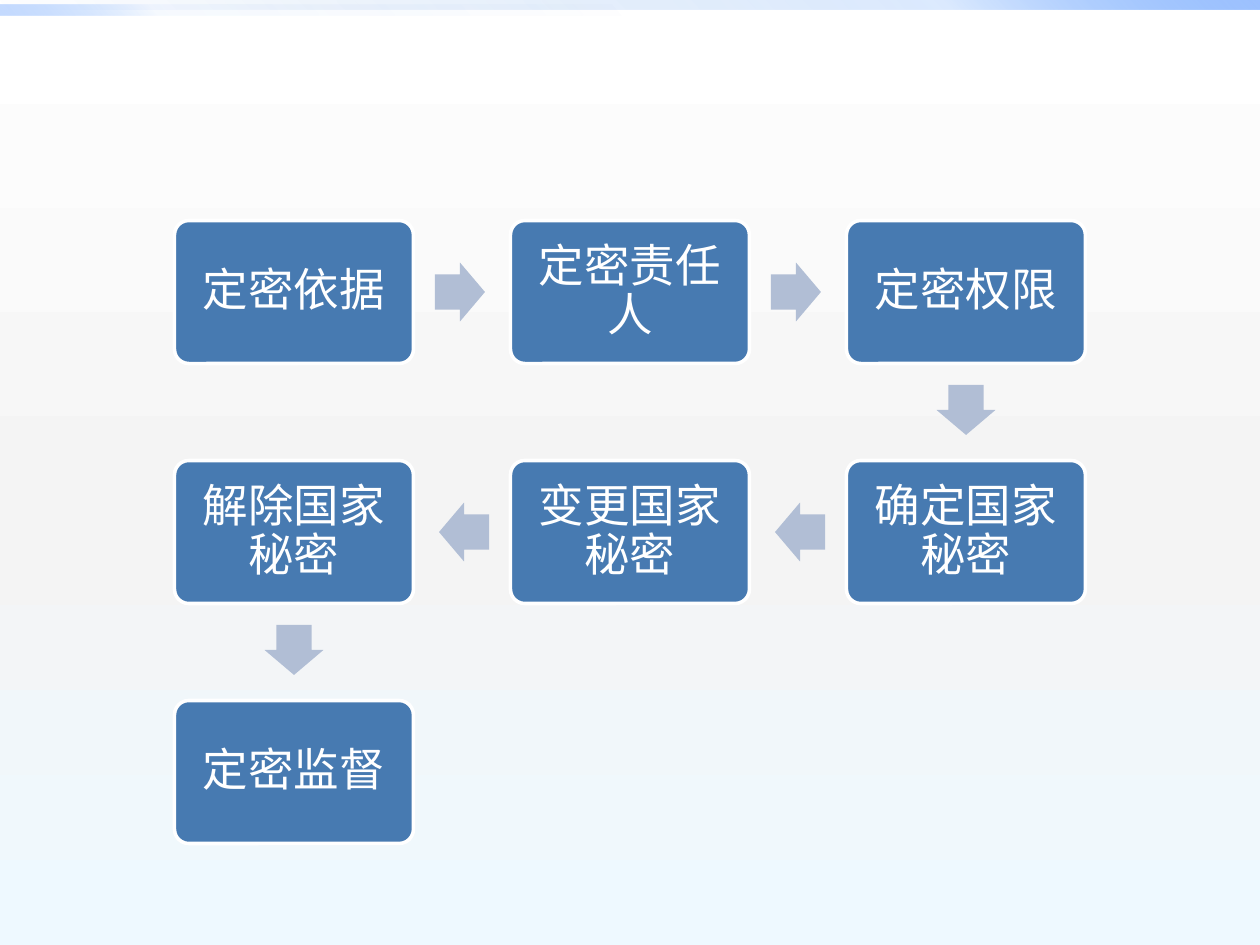
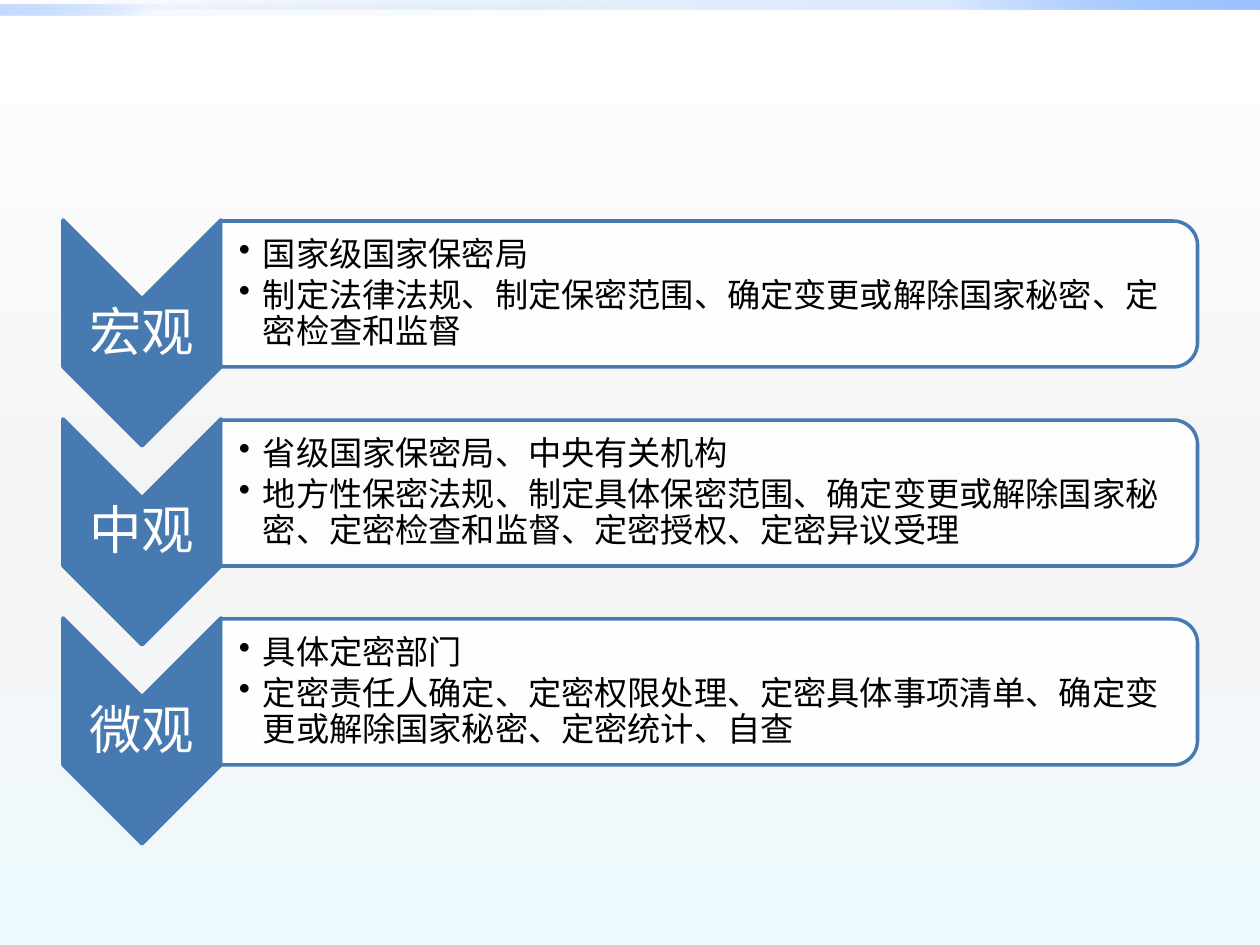
from dataclasses import dataclass
from math import atan2, degrees

from lxml.etree import SubElement
from pptx import Presentation
from pptx.dml.color import RGBColor
from pptx.enum.shapes import MSO_SHAPE
from pptx.enum.text import MSO_ANCHOR, PP_ALIGN
from pptx.oxml import parse_xml
from pptx.oxml.ns import nsdecls, qn
from pptx.util import Emu, Pt

EMU_PER_PX = 914400 / 126


@dataclass(frozen=True)
class Theme:
    """Colours and type of the deck."""
    font: str = "Cambria"
    blue: str = "477AB1"
    arrow: str = "B1BED5"
    white: str = "FFFFFF"
    black: str = "000000"
    step_size: int = 26
    level_size: int = 30
    body_size: int = 19
    line_width: int = 2
    body_gap: int = 3


@dataclass(frozen=True)
class Stop:
    """A gradient stop: position and opacity in percent."""
    pos: int
    color: str
    opacity: int = 100


@dataclass(frozen=True)
class Box:
    """A rectangle in px."""
    x: float
    y: float
    w: float
    h: float

    @classmethod
    def around(cls, cx: float, cy: float, w: float, h: float) -> "Box":
        """Return the rectangle with the given centre."""
        return cls(cx - w / 2, cy - h / 2, w, h)

    def emu(self) -> list[Emu]:
        """Return left, top, width and height in EMU."""
        return [px(v) for v in (self.x, self.y, self.w, self.h)]


@dataclass(frozen=True)
class Band:
    """A gradient strip along the top edge."""
    box: Box
    angle: int
    stops: tuple[Stop, ...]


@dataclass(frozen=True)
class Level:
    """A management level with its points."""
    name: str
    points: tuple[str, ...]


T = Theme()
BACKGROUND = (Stop(0, "FFFFFF"), Stop(55, "F4F4F4"), Stop(100, "EEF9FF"))
BANDS = (
    Band(Box(0, 0, 1260, 10), 315,
         (Stop(0, "0058B7", 0), Stop(75, "4F95FF", 20), Stop(100, "9EC2FF"))),
    Band(Box(0, 5, 630, 10), 135,
         (Stop(0, "0058B7", 0), Stop(75, "4F95FF", 5), Stop(100, "9EC2FF", 60))),
)
STEPS = ("定密依据", "定密责任人", "定密权限", "确定国家秘密",
         "变更国家秘密", "解除国家秘密", "定密监督")
LEVELS = (
    Level("宏观", ("国家级国家保密局",
                 "制定法律法规、制定保密范围、确定变更或解除国家秘密、定密检查和监督")),
    Level("中观", ("省级国家保密局、中央有关机构",
                 "地方性保密法规、制定具体保密范围、确定变更或解除国家秘密、"
                 "定密检查和监督、定密授权、定密异议受理")),
    Level("微观", ("具体定密部门",
                 "定密责任人确定、定密权限处理、定密具体事项清单、"
                 "确定变更或解除国家秘密、定密统计、自查")),
)
STEP_COLS = 3
STEP_PITCH = (336, 240)
FIRST_STEP = (294, 292)
ARROW_SHIFT = 2
LEVEL_PITCH = 199


def px(value: float) -> Emu:
    """Turn px into EMU."""
    return Emu(round(value * EMU_PER_PX))


def set_gradient(props, stops: tuple[Stop, ...], angle: int) -> None:
    """Replace the solid fill of a properties element by a linear gradient."""
    gs = "".join(
        f'<a:gs pos="{st.pos * 1000}"><a:srgbClr val="{st.color}">'
        f'<a:alpha val="{st.opacity * 1000}"/></a:srgbClr></a:gs>' for st in stops)
    solid = props.find(qn("a:solidFill"))
    props.replace(solid, parse_xml(
        f'<a:gradFill {nsdecls("a")} rotWithShape="1"><a:gsLst>{gs}</a:gsLst>'
        f'<a:lin ang="{angle * 60000}" scaled="0"/></a:gradFill>'))


def add_shape(s, kind: MSO_SHAPE, box: Box, fill: str, line: str | None = None,
              rotation: float = 0):
    """Add a flat preset shape."""
    sp = s.shapes.add_shape(kind, *box.emu())
    sp.shadow.inherit = False
    sp.rotation = rotation
    sp.fill.solid()
    sp.fill.fore_color.rgb = RGBColor.from_string(fill)
    if line:
        sp.line.color.rgb = RGBColor.from_string(line)
        sp.line.width = Pt(T.line_width)
    else:
        sp.line.fill.background()
    return sp


def set_text(sp, lines: tuple[str, ...], size: int, color: str,
             align: PP_ALIGN, margins: tuple[int, int, int, int]) -> None:
    """Write and format the paragraphs of a shape."""
    tf = sp.text_frame
    tf.text = "\n".join(lines)
    tf.word_wrap = True
    tf.vertical_anchor = MSO_ANCHOR.MIDDLE
    tf.margin_left, tf.margin_top, tf.margin_right, tf.margin_bottom = map(px, margins)
    for p in tf.paragraphs:
        p.alignment = align
        p.line_spacing = 0.9
        for r in p.runs:
            r.font.name = T.font
            r.font.size = Pt(size)
            r.font.color.rgb = RGBColor.from_string(color)


def add_bullets(sp, indent: int) -> None:
    """Give every paragraph of a shape a hanging bullet."""
    for p in sp.text_frame.paragraphs:
        p.space_after = Pt(T.body_gap)
        pPr = p._p.get_or_add_pPr()
        pPr.set("marL", str(px(indent)))
        pPr.set("indent", str(-px(indent)))
        SubElement(pPr, qn("a:buChar")).set("char", "•")


def add_slide(prs):
    """Add a blank slide with the top bands."""
    s = prs.slides.add_slide(prs.slide_layouts[6])
    for band in BANDS:
        sp = add_shape(s, MSO_SHAPE.RECTANGLE, band.box, T.blue)
        set_gradient(sp._element.spPr, band.stops, band.angle)
    return s


def step_center(i: int) -> tuple[int, int]:
    """Return the centre of a step on the snaking grid."""
    row, col = divmod(i, STEP_COLS)
    if row % 2:
        col = STEP_COLS - 1 - col
    return FIRST_STEP[0] + col * STEP_PITCH[0], FIRST_STEP[1] + row * STEP_PITCH[1]


def add_step_arrow(s, start: tuple[int, int], end: tuple[int, int]) -> None:
    """Add the block arrow between two steps."""
    dx, dy = end[0] - start[0], end[1] - start[1]
    back = ARROW_SHIFT / (abs(dx) + abs(dy))
    cx = (start[0] + end[0]) / 2 - dx * back
    cy = (start[1] + end[1]) / 2 - dy * back
    sp = add_shape(s, MSO_SHAPE.RIGHT_ARROW, Box.around(cx, cy, 50, 59),
                   T.arrow, rotation=degrees(atan2(dy, dx)))
    sp.adjustments[0] = 0.6


def build_steps(prs) -> None:
    """Build the slide with the snaking process."""
    s = add_slide(prs)
    for i, name in enumerate(STEPS):
        center = step_center(i)
        sp = add_shape(s, MSO_SHAPE.ROUNDED_RECTANGLE,
                       Box.around(*center, 239, 143), T.blue, T.white)
        sp.adjustments[0] = 0.1
        set_text(sp, (name,), T.step_size, T.white, PP_ALIGN.CENTER, (14,) * 4)
        if i + 1 < len(STEPS):
            add_step_arrow(s, center, step_center(i + 1))


def add_level(s, level: Level, top: int) -> None:
    """Add a chevron and the panel beside it."""
    add_shape(s, MSO_SHAPE.CHEVRON, Box.around(142, top + 113, 226, 158),
              T.blue, T.blue, 90)
    label = s.shapes.add_textbox(*Box(63, top + 80, 158, 68).emu())
    set_text(label, (level.name,), T.level_size, T.white, PP_ALIGN.CENTER, (2,) * 4)
    panel = add_shape(s, MSO_SHAPE.ROUND_2_SAME_RECTANGLE,
                      Box.around(709, top + 74, 146, 977), T.white, T.blue, 90)
    color = panel._element.spPr.find(qn("a:solidFill")).find(qn("a:srgbClr"))
    SubElement(color, qn("a:alpha")).set("val", "90000")
    body = s.shapes.add_textbox(*Box(220, top + 8, 969, 132).emu())
    set_text(body, level.points, T.body_size, T.black, PP_ALIGN.LEFT, (19, 1, 1, 1))
    add_bullets(body, 24)


def build_levels(prs) -> None:
    """Build the slide with the three levels."""
    s = add_slide(prs)
    for i, level in enumerate(LEVELS):
        add_level(s, level, 220 + i * LEVEL_PITCH)


def main() -> None:
    """Build and save the deck."""
    prs = Presentation()
    prs.slide_width, prs.slide_height = px(1260), px(945)
    master = prs.slide_master
    master.background.fill.solid()
    set_gradient(master.element.cSld.find(qn("p:bg")).find(qn("p:bgPr")), BACKGROUND, 90)
    build_steps(prs)
    build_levels(prs)
    prs.save("out.pptx")


if __name__ == "__main__":
    main()
